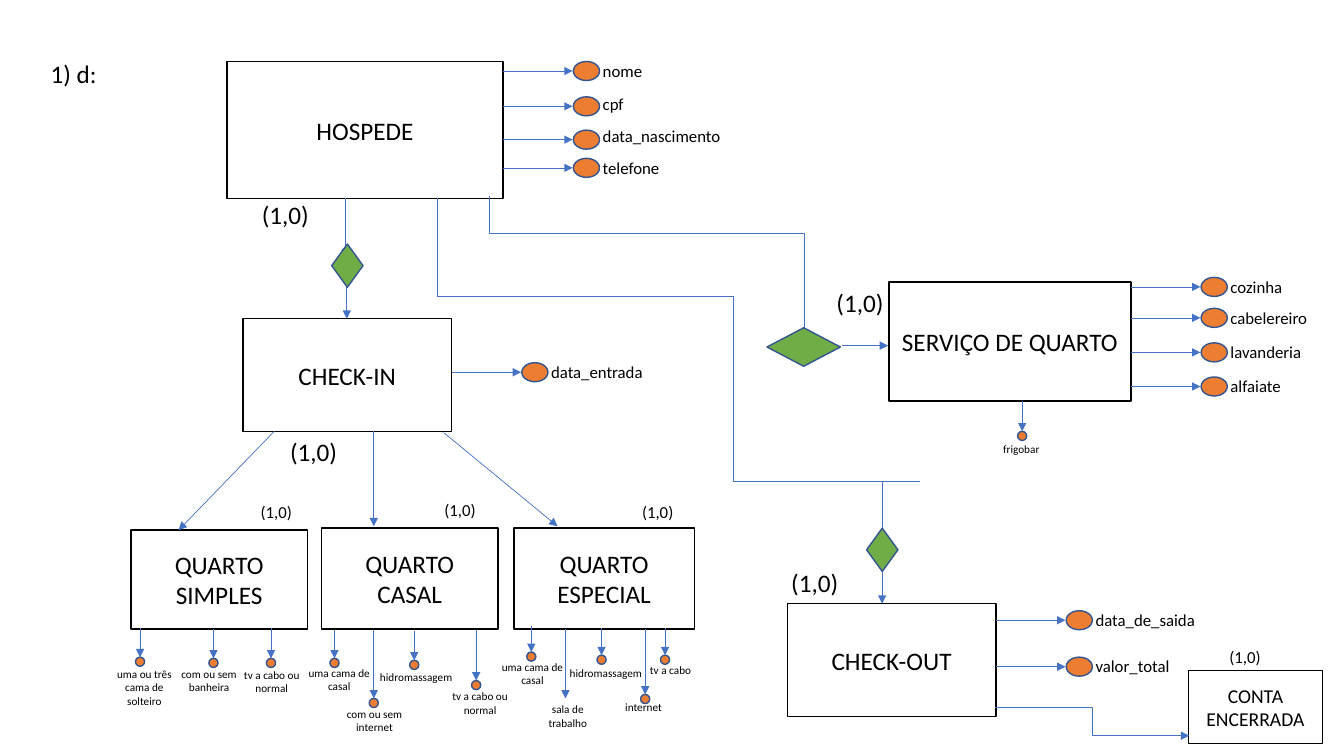
"""Build the hotel guest entity-relationship diagram as one slide."""
from dataclasses import dataclass
from typing import NamedTuple

from pptx import Presentation
from pptx.dml.color import RGBColor
from pptx.enum.shapes import MSO_CONNECTOR, MSO_SHAPE
from pptx.enum.text import MSO_ANCHOR, MSO_AUTO_SIZE, PP_ALIGN
from pptx.oxml.ns import qn
from pptx.oxml.xmlchemy import OxmlElement
from pptx.util import Cm, Pt


@dataclass(frozen=True)
class Theme:
    font: str = "Calibri"
    ink: RGBColor = RGBColor(0, 0, 0)
    paper: RGBColor = RGBColor(255, 255, 255)
    link: RGBColor = RGBColor(0x44, 0x72, 0xC4)
    edge: RGBColor = RGBColor(0x32, 0x54, 0x91)
    oval: RGBColor = RGBColor(0xED, 0x7D, 0x31)
    diamond: RGBColor = RGBColor(0x70, 0xAD, 0x47)
    large: int = 18
    medium: int = 14
    small: int = 12
    tiny: int = 8


class Box(NamedTuple):
    x: float
    y: float
    w: float
    h: float


class Attribute(NamedTuple):
    name: str
    y: float
    width: float
    lift: float = 0.15


class Entity(NamedTuple):
    name: str
    box: Box
    attributes: tuple[Attribute, ...] = ()
    size: int = Theme.large


class Detail(NamedTuple):
    name: str
    x: float
    top: float
    end: float
    label_x: float
    label_y: float
    lines: int = 2
    width: float = 2.16
    dot: bool = True


class Link(NamedTuple):
    x1: float
    y1: float
    x2: float
    y2: float
    arrow: bool = True
    preset: str = "line"


class Cardinality(NamedTuple):
    x: float
    y: float
    width: float
    size: int


T = Theme()
ENTITIES = (
    Entity("HOSPEDE", Box(5.72, 1.55, 6.96, 3.45), (
        Attribute("nome", 1.55, 1.52), Attribute("cpf", 2.44, 1.04, 0.2),
        Attribute("data_nascimento", 3.28, 3.51, 0.23), Attribute("telefone", 3.99, 1.96, 0.13))),
    Entity("CHECK-IN", Box(6.12, 8.03, 5.26, 2.84), (Attribute("data_entrada", 9.14, 2.84),)),
    Entity("QUARTO ESPECIAL", Box(12.95, 13.31, 4.55, 2.54)),
    Entity("QUARTO CASAL", Box(8.1, 13.31, 4.45, 2.54)),
    Entity("QUARTO SIMPLES", Box(3.3, 13.36, 4.45, 2.49)),
    Entity("SERVIÇO DE QUARTO", Box(22.4, 7.11, 6.1, 3), (
        Attribute("cozinha", 6.99, 1.83), Attribute("cabelereiro", 7.77, 2.46),
        Attribute("lavanderia", 8.64, 2.31), Attribute("alfaiate", 9.5, 1.8))),
    Entity("CHECK-OUT", Box(19.84, 15.21, 5.26, 2.84), (
        Attribute("data_de_saida", 15.39, 3.05), Attribute("valor_total", 16.56, 2.39))),
    Entity("CONTA ENCERRADA", Box(29.95, 16.89, 3.38, 1.85), size=T.medium),
)
DETAILS = (
    Detail("uma ou três cama de solteiro", 3.53, 15.82, 16.56, 3.64, 16.69, 3),
    Detail("com ou sem banheira", 5.38, 15.85, 16.59, 5.27, 16.69),
    Detail("tv a cabo ou normal", 6.83, 15.82, 16.59, 6.85, 16.71),
    Detail("uma cama de casal", 8.43, 15.88, 16.59, 8.55, 16.66),
    Detail("hidromassagem", 10.44, 15.9, 16.64, 10.49, 16.76, 1, 2.39),
    Detail("tv a cabo ou normal", 12, 15.88, 17.15, 12.1, 17.25),
    Detail("com ou sem internet", 9.42, 15.88, 17.6, 9.44, 17.7),
    Detail("uma cama de casal", 13.39, 15.77, 16.43, 13.42, 16.51),
    Detail("hidromassagem", 15.16, 15.82, 16.51, 15.27, 16.66, 1, 2.39),
    Detail("tv a cabo", 16.76, 15.82, 16.51, 16.9, 16.59, 1),
    Detail("internet", 16.26, 15.85, 17.5, 16.22, 17.53, 1),
    Detail("sala de trabalho", 14.25, 15.85, 17.6, 14.31, 17.58, dot=False),
    Detail("frigobar", 25.76, 10.11, 10.87, 25.74, 11.02, 1),
)
LINKS = (
    Link(8.71, 5, 8.71, 6.48), Link(8.74, 7.24, 8.74, 8.03),
    Link(6.91, 10.87, 4.5, 13.36), Link(9.42, 10.87, 9.42, 13.26),
    Link(11.18, 10.9, 14.05, 13.26),
    Link(12.34, 5.89, 12.34, 4.95, False),
    Link(12.34, 5.89, 20.27, 8.56, preset="bentConnector2"),
    Link(21.21, 8.71, 22.38, 8.71),
    Link(11.02, 5, 11.02, 7.47, False), Link(11.02, 7.47, 18.49, 7.47, False),
    Link(18.49, 7.47, 18.49, 12.14, False), Link(18.49, 12.14, 23.19, 12.14, False),
    Link(22.23, 12.14, 22.23, 13.97), Link(22.23, 14.4, 22.23, 15.21),
    Link(25.07, 17.83, 29.97, 18.54, preset="bentConnector3"),
)
DIAMONDS = (Box(8.36, 6.15, 0.79, 1.09), Box(19.33, 8.26, 1.85, 0.97), Box(21.84, 13.31, 0.79, 1.09))
CARDINALITIES = (
    *(Cardinality(x, y, 1.73, T.large)
      for x, y in ((6.35, 4.9), (7.06, 10.87), (20.83, 7.11), (19.69, 14.17))),
    *(Cardinality(x, y, 1.78, T.small)
      for x, y in ((30.73, 16.18), (15.93, 12.52), (10.95, 12.47), (6.32, 12.52))),
)
OVAL_GAP, OVAL_W, OVAL_H, DOT = 1.77, 0.66, 0.48, 0.23


def write(tf, text: str, size: int, align: PP_ALIGN) -> None:
    """Write one formatted run into a text frame."""
    p = tf.paragraphs[0]
    p.alignment = align
    r = p.add_run()
    r.text = text
    r.font.name, r.font.size, r.font.color.rgb = T.font, Pt(size), T.ink


def draw_shape(kind: MSO_SHAPE, box: Box, fill: RGBColor, line: RGBColor):
    """Draw a flat filled shape with a one-point outline."""
    sp = slide.shapes.add_shape(kind, *map(Cm, box))
    sp.shadow.inherit = False
    sp.fill.solid()
    sp.fill.fore_color.rgb = fill
    sp.line.color.rgb = line
    sp.line.width = Pt(1)
    return sp


def draw_label(text: str, x: float, y: float, width: float, size: int,
               align: PP_ALIGN = PP_ALIGN.LEFT, lines: int = 1, wrap: bool = False) -> None:
    """Draw a text box as tall as its lines."""
    height = Cm(0.25) + Pt(1.2 * size * lines)
    tf = slide.shapes.add_textbox(Cm(x), Cm(y), Cm(width), height).text_frame
    tf.word_wrap = wrap
    tf.auto_size = MSO_AUTO_SIZE.SHAPE_TO_FIT_TEXT
    write(tf, text, size, align)


def draw_link(link: Link) -> None:
    """Draw a straight or bent connector."""
    kind = MSO_CONNECTOR.STRAIGHT if link.preset == "line" else MSO_CONNECTOR.ELBOW
    c = slide.shapes.add_connector(kind, *map(Cm, link[:4]))
    c.line.color.rgb, c.line.width = T.link, Pt(0.5)
    sp_pr = c.element.spPr
    sp_pr.find(qn("a:prstGeom")).set("prst", link.preset)
    if link.arrow:
        tail = OxmlElement("a:tailEnd")
        tail.set("type", "triangle")
        sp_pr.find(qn("a:ln")).append(tail)
    sp_pr.append(OxmlElement("a:effectLst"))


def draw_entity(entity: Entity) -> None:
    """Draw an entity with its arrows, ovals and attribute names."""
    sp = draw_shape(MSO_SHAPE.RECTANGLE, entity.box, T.paper, T.ink)
    tf = sp.text_frame
    tf.word_wrap, tf.vertical_anchor = True, MSO_ANCHOR.MIDDLE
    write(tf, entity.name, entity.size, PP_ALIGN.CENTER)
    right = entity.box.x + entity.box.w
    x = right + OVAL_GAP
    for a in entity.attributes:
        mid = a.y + OVAL_H / 2
        draw_link(Link(right, mid, x - 0.02, mid))
        draw_shape(MSO_SHAPE.OVAL, Box(x, a.y, OVAL_W, OVAL_H), T.oval, T.edge)
        draw_label(a.name, x + 0.49, a.y - a.lift, a.width, T.small)


def draw_detail(d: Detail) -> None:
    """Draw a small attribute hanging below an entity."""
    draw_link(Link(d.x, d.top, d.x, d.end))
    if d.dot:
        draw_shape(MSO_SHAPE.OVAL, Box(d.x - DOT / 2, d.end, DOT, DOT), T.oval, T.edge)
    draw_label(d.name, d.label_x - d.width / 2, d.label_y, d.width, T.tiny,
               PP_ALIGN.CENTER, d.lines, True)


prs = Presentation()
prs.slide_width, prs.slide_height = Cm(33.87), Cm(19.05)
slide = prs.slides.add_slide(prs.slide_layouts[5])
title = slide.shapes.title
title.left, title.top, title.width, title.height = map(Cm, (1.02, 1.35, 1.7, 1.02))
title.text_frame.word_wrap = False
title.text_frame.auto_size = MSO_AUTO_SIZE.NONE
title.text_frame.vertical_anchor = MSO_ANCHOR.TOP
write(title.text_frame, "1) d:", T.large, PP_ALIGN.LEFT)
for entity in ENTITIES:
    draw_entity(entity)
for link in LINKS:
    draw_link(link)
for box in DIAMONDS:
    draw_shape(MSO_SHAPE.DIAMOND, box, T.diamond, T.edge)
for detail in DETAILS:
    draw_detail(detail)
for c in CARDINALITIES:
    draw_label("(1,0)", c.x, c.y, c.width, c.size, wrap=True)
prs.save("out.pptx")
